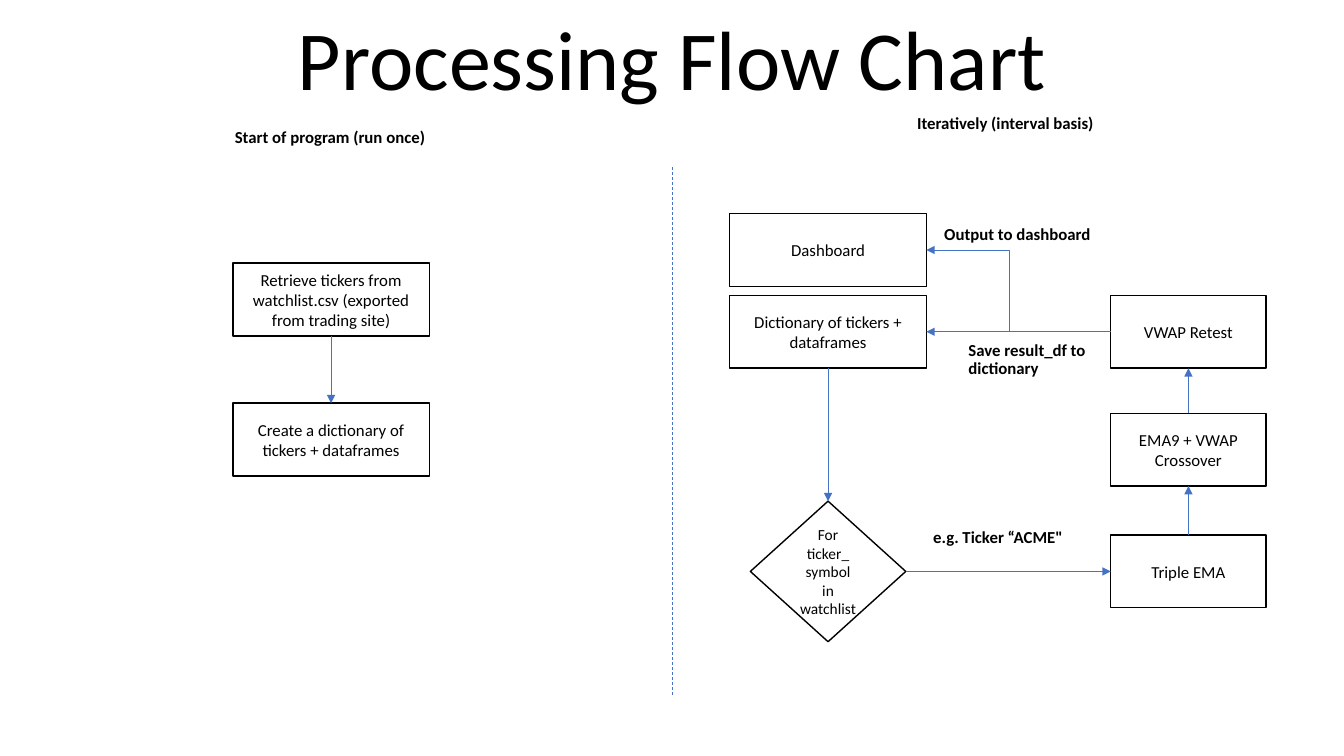
"""Build the processing flow chart slide."""
import pptx
import pptx.util
import pptx.dml.color
import pptx.enum.dml
import pptx.enum.shapes
import pptx.enum.text
import pptx.oxml
import pptx.oxml.ns

Pt = pptx.util.Pt
Kind = pptx.enum.shapes.MSO_SHAPE
Link = pptx.enum.shapes.MSO_CONNECTOR
Align = pptx.enum.text.PP_ALIGN
Anchor = pptx.enum.text.MSO_ANCHOR

FONT, BLACK, WHITE, BLUE = "Calibri", "000000", "FFFFFF", "4472C4"
TITLE = "Processing Flow Chart"
WIDE, SLIM, HIGH = 140.4, 111, 52
START, STORE, CHECK = 166.3, 521.3, 793.4
TOP, LEFT, BOTTOM, RIGHT = range(4)

BOXES = {
    "load": (START, 188, WIDE, ["Retrieve tickers from watchlist.csv (exported from trading site)"]),
    "make": (START, 288, WIDE, ["Create a dictionary of tickers + dataframes"]),
    "dash": (STORE, 152.6, WIDE, ["Dashboard"]),
    "dict": (STORE, 211, WIDE, ["Dictionary of tickers + dataframes"]),
    "retest": (CHECK, 211, SLIM, ["VWAP Retest"]),
    "cross": (CHECK, 295.2, SLIM, ["EMA9 + VWAP Crossover"]),
    "triple": (CHECK, 382.2, SLIM, ["Triple EMA"]),
}
LOOP = (STORE + (WIDE - SLIM) / 2, 358, SLIM, ["For ticker_", "symbol in watchlist"])
LOOP_HIGH = 100.4

ARROWS = [
    ("load", BOTTOM, "make", TOP),
    ("dict", BOTTOM, "loop", TOP),
    ("loop", RIGHT, "triple", LEFT),
    ("triple", TOP, "cross", BOTTOM),
    ("cross", TOP, "retest", BOTTOM),
    ("retest", LEFT, "dict", RIGHT),
]
LABELS = [
    (160.6, 88.6, 159, 31, "Start of program (run once)"),
    (648, 78.5, 159, 31, "Iteratively (interval basis)"),
    (684.7, 240.5, 111, 31, "Save result_df to dictionary"),
    (659.5, 374.4, 111, 31, "e.g. Ticker “ACME\""),
    (667.4, 157.7, 139, 21.6, "Output to dashboard"),
]
FORK = 720.4


def color(code):
    return pptx.dml.color.RGBColor.from_string(code)


def write(para, lines, size, bold=False):
    for i, line in enumerate(lines):
        if i:
            para.add_line_break()
        run = para.add_run()
        run.text = line
        run.font.name, run.font.size, run.font.bold = FONT, Pt(size), bold
        run.font.color.rgb = color(BLACK)


def add_box(slide, kind, place, high, size):
    x, y, wide, lines = place
    box = slide.shapes.add_shape(kind, Pt(x), Pt(y), Pt(wide), Pt(high))
    box.shadow.inherit = False
    box.fill.solid()
    box.fill.fore_color.rgb = color(WHITE)
    box.line.color.rgb = color(BLACK)
    box.line.width = Pt(1)
    frame = box.text_frame
    frame.word_wrap = True
    frame.vertical_anchor = Anchor.MIDDLE
    para = frame.paragraphs[0]
    para.alignment = Align.CENTER
    write(para, lines, size)
    return box


def add_label(slide, x, y, wide, high, text):
    frame = slide.shapes.add_textbox(Pt(x), Pt(y), Pt(wide), Pt(high)).text_frame
    frame.word_wrap = True
    para = frame.paragraphs[0]
    para.line_spacing = 0.9
    para.space_before = Pt(10)
    write(para, [text], 12, True)


def add_line(slide, kind, ends=(0, 0, 0, 0), head=True):
    line = slide.shapes.add_connector(kind, *[Pt(v) for v in ends])
    line.line.color.rgb = color(BLUE)
    line.line.width = Pt(0.5)
    if head:
        tip = pptx.oxml.ns.qn("a:tailEnd")
        line.line._get_or_add_ln().append(line._element.makeelement(tip, {"type": "triangle"}))
    else:
        line.line.dash_style = pptx.enum.dml.MSO_LINE.DASH
    props = line._element.spPr
    props.append(props.makeelement(pptx.oxml.ns.qn("a:effectLst"), {}))
    return line


def main():
    deck = pptx.Presentation()
    deck.slide_width, deck.slide_height = Pt(960), Pt(540)
    slide = deck.slides.add_slide(deck.slide_layouts[0])
    sub = slide.placeholders[1]._element
    sub.getparent().remove(sub)

    title = slide.shapes.title
    title.left, title.top, title.width, title.height = Pt(120), Pt(4.3), Pt(720), Pt(77)
    title.text_frame.vertical_anchor = Anchor.BOTTOM
    para = title.text_frame.paragraphs[0]
    para.alignment = Align.CENTER
    para.line_spacing = 0.9
    write(para, [TITLE], 60)

    nodes = {}
    for name, place in BOXES.items():
        nodes[name] = add_box(slide, Kind.RECTANGLE, place, HIGH, 12)
    nodes["loop"] = add_box(slide, Kind.DIAMOND, LOOP, LOOP_HIGH, 11)

    add_line(slide, Link.STRAIGHT, (480, 119.5, 480, 497.5), False)
    for source, out, target, into in ARROWS:
        line = add_line(slide, Link.STRAIGHT)
        line.begin_connect(nodes[source], out)
        line.end_connect(nodes[target], into)

    mids = [BOXES[name][1] + HIGH / 2 for name in ("dict", "dash")]
    bend = add_line(slide, Link.ELBOW, (FORK, mids[0], STORE + WIDE, mids[1]))
    guides = bend._element.spPr.prstGeom.get_or_add_avLst()
    gd = pptx.oxml.ns.qn("a:gd")
    guides.append(guides.makeelement(gd, {"name": "adj1", "fmla": "val -700"}))

    for label in LABELS:
        add_label(slide, *label)
    deck.save("out.pptx")


if __name__ == "__main__":
    main()
